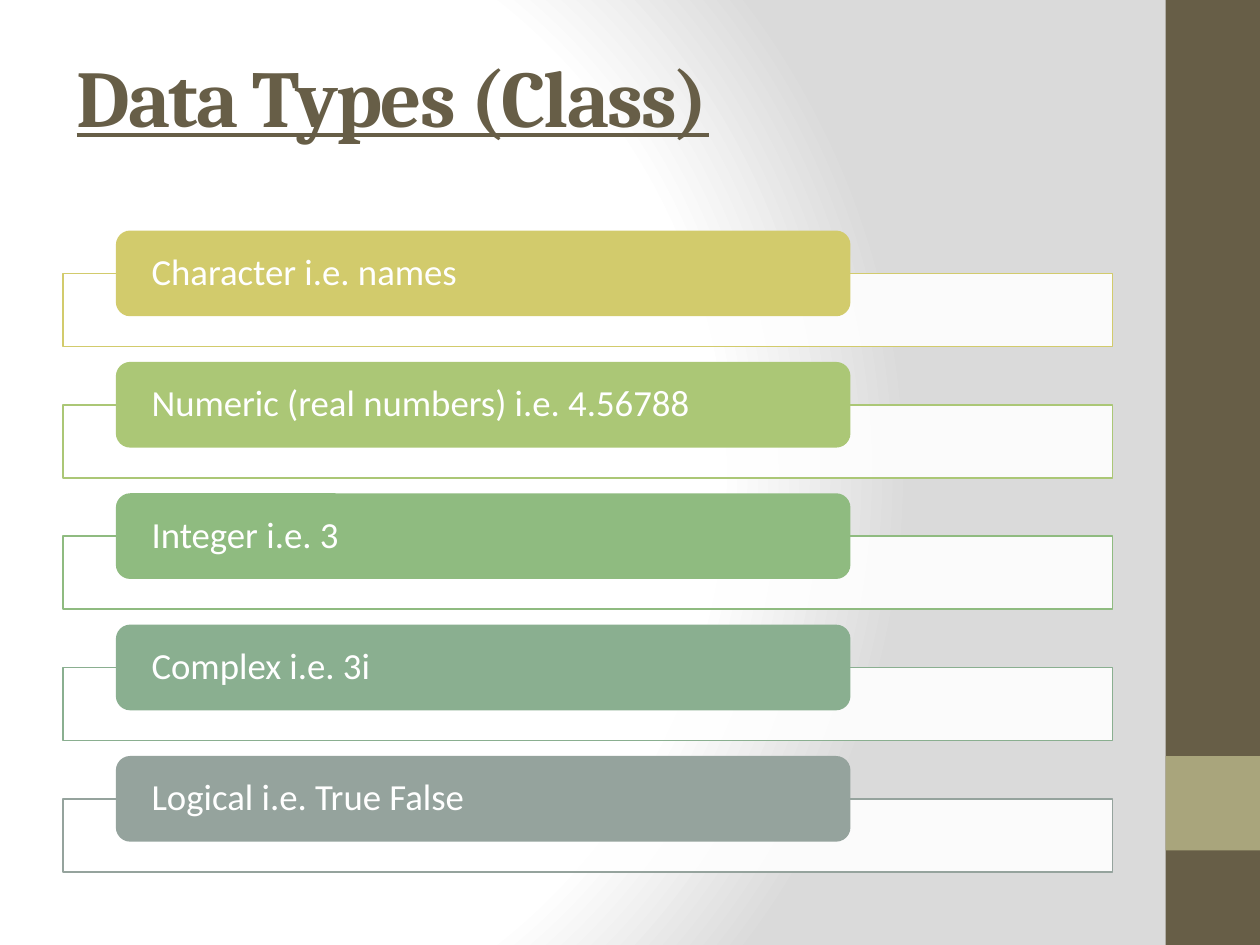
from dataclasses import dataclass
from typing import Any

from lxml.etree import SubElement
from pptx import Presentation
from pptx.dml.color import RGBColor
from pptx.enum.shapes import MSO_SHAPE
from pptx.enum.text import MSO_ANCHOR, PP_ALIGN
from pptx.oxml import parse_xml
from pptx.oxml.ns import nsdecls, qn
from pptx.util import Inches, Pt


@dataclass(frozen=True)
class Theme:
    brown: str = "675E47"
    olive: str = "A9A57C"
    white: str = "FFFFFF"
    grey: str = "DADADA"
    heading_font: str = "Cambria"
    body_font: str = "Calibri"
    heading_size: float = 46
    body_size: float = 21


@dataclass(frozen=True)
class Box:
    left: float
    top: float
    width: float
    height: float

    def lengths(self) -> tuple:
        return tuple(map(Inches, (self.left, self.top, self.width, self.height)))


@dataclass(frozen=True)
class DataType:
    label: str
    color: str


THEME = Theme()
DATA_TYPES = [
    DataType("Character i.e. names", "D2CB6C"),
    DataType("Numeric (real numbers) i.e. 4.56788", "ABC776"),
    DataType("Integer i.e. 3", "8FBB80"),
    DataType("Complex i.e. 3i", "8AAF90"),
    DataType("Logical i.e. True False", "95A39D"),
]
FIRST_TOP, LAST_TOP = 1.83, 6.0
ROW_PITCH = (LAST_TOP - FIRST_TOP) / (len(DATA_TYPES) - 1)
FRAME_DROP = 0.34


def apply_format(target: Any, values: dict[str, Any]) -> None:
    for name, value in values.items():
        setattr(target, name, value)


def paint_background(slide: Any) -> None:
    stops = "".join(
        f'<a:gs pos="{position * 1000}"><a:srgbClr val="{color}"/></a:gs>'
        for position, color in ((0, THEME.white), (75, THEME.white), (100, THEME.grey))
    )
    background = parse_xml(
        f'<p:bg {nsdecls("p", "a")}><p:bgPr><a:gradFill rotWithShape="1">'
        f'<a:gsLst>{stops}</a:gsLst><a:path path="circle">'
        '<a:fillToRect l="20000" t="50000" r="100000" b="50000"/></a:path>'
        "</a:gradFill><a:effectLst/></p:bgPr></p:bg>"
    )
    slide.element.cSld.insert(0, background)


def add_block(slide: Any, kind: MSO_SHAPE, box: Box, color: str) -> Any:
    block = slide.shapes.add_shape(kind, *box.lengths())
    block.shadow.inherit = False
    block.fill.solid()
    block.fill.fore_color.rgb = RGBColor.from_string(color)
    block.line.fill.background()
    return block


def write_text(holder: Any, text: str, color: str, frame_format: dict[str, Any],
               paragraph_format: dict[str, Any], font_format: dict[str, Any]) -> Any:
    frame = holder.text_frame
    apply_format(frame, {"word_wrap": True, "vertical_anchor": MSO_ANCHOR.MIDDLE} | frame_format)
    paragraph = frame.paragraphs[0]
    apply_format(paragraph, {"alignment": PP_ALIGN.LEFT} | paragraph_format)
    run = paragraph.add_run()
    run.text = text
    apply_format(run.font, font_format)
    run.font.color.rgb = RGBColor.from_string(color)
    return run


def add_heading(slide: Any, text: str) -> None:
    heading = slide.shapes.add_textbox(*Box(0.51, 0.13, 9, 1.25).lengths())
    run = write_text(
        heading, text, THEME.brown, {}, {},
        {"name": THEME.heading_font, "size": Pt(THEME.heading_size),
         "bold": True, "underline": True},
    )
    run.font._element.set("spc", "-100")


def add_data_type(slide: Any, data_type: DataType, top: float) -> None:
    frame = add_block(slide, MSO_SHAPE.RECTANGLE,
                      Box(0.5, top + FRAME_DROP, 8.33, 0.58), THEME.white)
    fill_color = frame.fill._xPr.find(qn("a:solidFill"))[0]
    SubElement(fill_color, qn("a:alpha"), val="90000")
    frame.line.color.rgb = RGBColor.from_string(data_type.color)
    frame.line.width = Pt(1)

    label = add_block(slide, MSO_SHAPE.ROUNDED_RECTANGLE,
                      Box(0.92, top, 5.83, 0.68), data_type.color)
    write_text(
        label, data_type.label, THEME.white,
        {"margin_left": Inches(0.25), "margin_right": Inches(0.25),
         "margin_top": 0, "margin_bottom": 0},
        {"line_spacing": 0.9},
        {"name": THEME.body_font, "size": Pt(THEME.body_size)},
    )


def main() -> None:
    deck = Presentation()
    apply_format(deck, {"slide_width": Inches(10), "slide_height": Inches(7.5)})
    slide = deck.slides.add_slide(deck.slide_layouts[6])
    paint_background(slide)
    add_block(slide, MSO_SHAPE.RECTANGLE, Box(9.25, 0, 0.75, 7.5), THEME.brown)
    add_block(slide, MSO_SHAPE.RECTANGLE, Box(9.25, 6, 0.75, 0.75), THEME.olive)
    add_heading(slide, "Data Types (Class)")
    for row, data_type in enumerate(DATA_TYPES):
        add_data_type(slide, data_type, FIRST_TOP + row * ROW_PITCH)
    deck.save("out.pptx")


if __name__ == "__main__":
    main()
